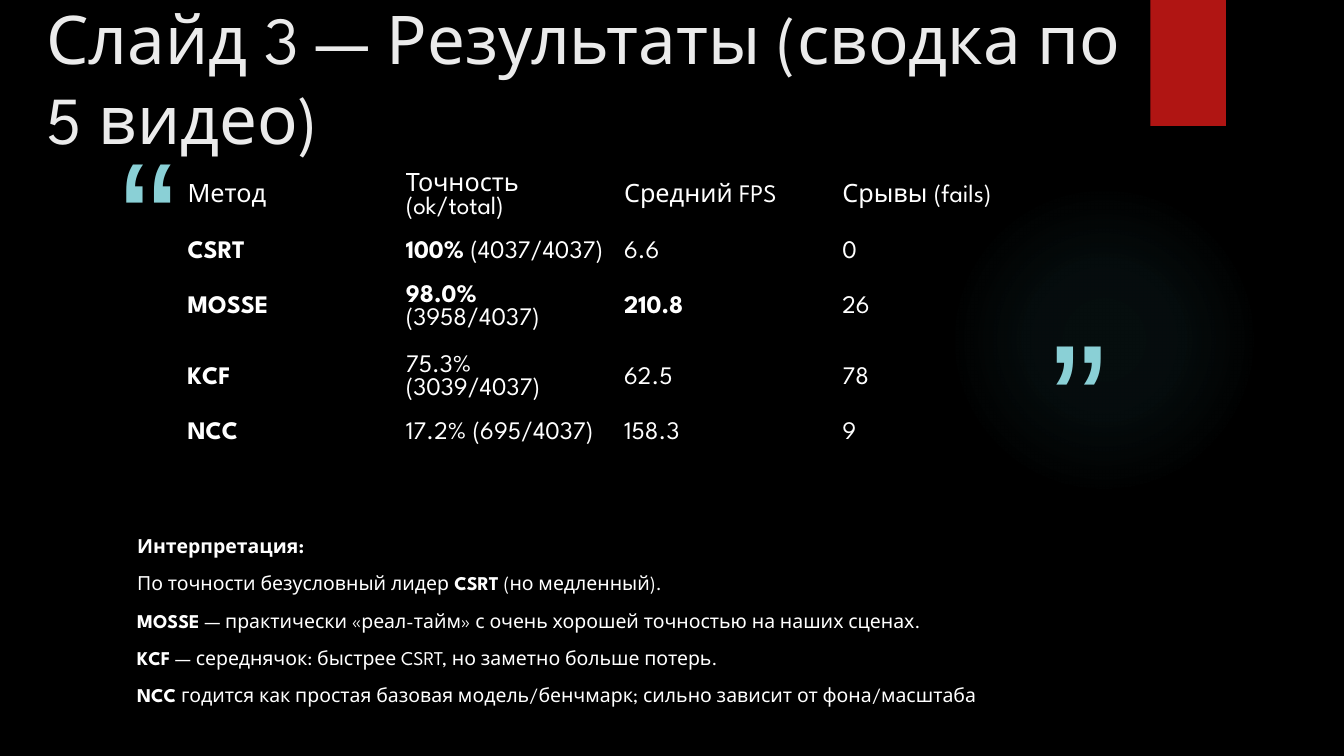
import pptx
import pptx.util
import pptx.oxml
import pptx.oxml.ns
import pptx.dml.color
import pptx.enum.shapes
import pptx.enum.text

Inches, Pt = pptx.util.Inches, pptx.util.Pt
ANCHOR = pptx.enum.text.MSO_ANCHOR
ALIGN = pptx.enum.text.PP_ALIGN
SHAPE = pptx.enum.shapes.MSO_SHAPE

COLORS = {"background": "000000", "title": "EBEBEB", "text": "FFFFFF",
          "quote": "8AD0D6", "ribbon": "B01513", "glow": "50B9C1"}
FONT = "League Spartan"
QUOTE_FONT = "Arial"
NO_STYLE_TABLE = "{2D5ABB26-0587-4C30-8999-92F81FD0307C}"

# Text between ** marks is bold.
TITLE = "Слайд 3 — Результаты (сводка по 5 видео)"
RESULTS = [
    ("Метод", "Точность (ok/total)", "Средний FPS", "Срывы (fails)"),
    ("**CSRT**", "**100%** (4037/4037)", "6.6", "0"),
    ("**MOSSE**", "**98.0%** (3958/4037)", "**210.8**", "26"),
    ("**KCF**", "75.3% (3039/4037)", "62.5", "78"),
    ("**NCC**", "17.2% (695/4037)", "158.3", "9"),
]
INTERPRETATION = [
    "**Интерпретация:**",
    "По точности безусловный лидер **CSRT** (но медленный).",
    "**MOSSE** — практически «реал-тайм» с очень хорошей точностью на наших сценах.",
    "**KCF** — середнячок: быстрее CSRT, но заметно больше потерь.",
    "**NCC** годится как простая базовая модель/бенчмарк; сильно зависит от фона/масштаба",
]
QUOTES = [("“", 0.98, 1.06), ("”", 10.2, 2.86)]
GLOW_STOPS = [(0, 7), (36, 6), (69, 0)]  # position and opacity, percent
RESULTS_BOX = (1.76, 1.6, 8.66, 3.5)
HEADER_HEIGHT, ROW_HEIGHT = 0.44, 0.36


def rgb(name):
    return pptx.dml.color.RGBColor.from_string(COLORS[name])


def write(paragraph, marked, size, color, font=FONT):
    """Fill a paragraph, switching bold at each ** mark."""
    for i, piece in enumerate(marked.split("**")):
        if piece:
            run = paragraph.add_run()
            run.text = piece
            run.font.size, run.font.name = Pt(size), font
            run.font.bold = i % 2 == 1
            run.font.color.rgb = rgb(color)


def place(shape, left, top, width, height):
    shape.left, shape.top = Inches(left), Inches(top)
    shape.width, shape.height = Inches(width), Inches(height)


def add_decor(slide, preset, *box):
    shape = slide.shapes.add_shape(preset, *map(Inches, box))
    shape.shadow.inherit = False
    shape.line.fill.background()
    return shape


def add_glow(slide):
    glow = add_decor(slide, SHAPE.OVAL, 9.41, 1.83, 3.08, 3.08)
    stops = "".join(
        f'<a:gs pos="{pos * 1000}"><a:srgbClr val="{COLORS["glow"]}">'
        f'<a:alpha val="{opacity * 1000}"/></a:srgbClr></a:gs>'
        for pos, opacity in GLOW_STOPS)
    gradient = pptx.oxml.parse_xml(
        f'<a:gradFill {pptx.oxml.ns.nsdecls("a")}><a:gsLst>{stops}</a:gsLst>'
        '<a:path path="circle"><a:fillToRect l="50000" t="50000" r="50000" b="50000"/>'
        '</a:path></a:gradFill>')
    outline = pptx.oxml.ns.qn("a:prstGeom")
    glow.element.spPr.find(outline).addnext(gradient)


def add_quote(slide, mark, left, top):
    box = slide.shapes.add_textbox(*map(Inches, (left, top, 0.88, 2.15)))
    box.text_frame.word_wrap = True
    paragraph = box.text_frame.paragraphs[0]
    paragraph.alignment = ALIGN.RIGHT
    write(paragraph, mark, 122, "quote", QUOTE_FONT)


def fill_title(title):
    place(title, 0.36, -0.08, 10.94, 0.49)
    frame = title.text_frame
    frame.auto_size = pptx.enum.text.MSO_AUTO_SIZE.NONE
    frame.vertical_anchor = ANCHOR.TOP
    paragraph = frame.paragraphs[0]
    paragraph.alignment = ALIGN.LEFT
    write(paragraph, TITLE, 48, "title")


def fill_interpretation(body):
    place(body, 1.26, 5.24, 9.65, 1.83)
    frame = body.text_frame
    frame.auto_size = pptx.enum.text.MSO_AUTO_SIZE.NONE
    frame.vertical_anchor = ANCHOR.MIDDLE
    for i, line in enumerate(INTERPRETATION):
        paragraph = frame.add_paragraph() if i else frame.paragraphs[0]
        paragraph.space_before = Pt(10)
        write(paragraph, line, 13.9, "text")
        properties = paragraph._p.get_or_add_pPr()
        properties.set("marL", "0")
        properties.set("indent", "0")
        properties.append(pptx.oxml.parse_xml(
            f'<a:buNone {pptx.oxml.ns.nsdecls("a")}/>'))


def add_results(slide):
    frame = slide.shapes.add_table(
        len(RESULTS), len(RESULTS[0]), *map(Inches, RESULTS_BOX))
    table = frame.table
    table.first_row = table.horz_banding = False
    table._tbl.tblPr.find(pptx.oxml.ns.qn("a:tableStyleId")).text = NO_STYLE_TABLE
    for r, values in enumerate(RESULTS):
        table.rows[r].height = Inches(ROW_HEIGHT if r else HEADER_HEIGHT)
        for c, value in enumerate(values):
            cell = table.cell(r, c)
            cell.fill.background()
            cell.vertical_anchor = ANCHOR.MIDDLE
            write(cell.text_frame.paragraphs[0], value, 18, "text")
    # Row heights shrink the frame; restore it so wrapped rows have room.
    place(frame, *RESULTS_BOX)


def main():
    deck = pptx.Presentation()
    deck.slide_width, deck.slide_height = Inches(13.33), Inches(7.5)
    slide = deck.slides.add_slide(deck.slide_layouts[1])
    slide.background.fill.solid()
    slide.background.fill.fore_color.rgb = rgb("background")

    add_glow(slide)
    ribbon = add_decor(slide, SHAPE.RECTANGLE, 11.41, 0, 0.75, 1.25)
    ribbon.fill.solid()
    ribbon.fill.fore_color.rgb = rgb("ribbon")
    for quote in QUOTES:
        add_quote(slide, *quote)

    fill_title(slide.shapes.title)
    fill_interpretation(slide.placeholders[1])
    add_results(slide)
    deck.save("out.pptx")


if __name__ == "__main__":
    main()
